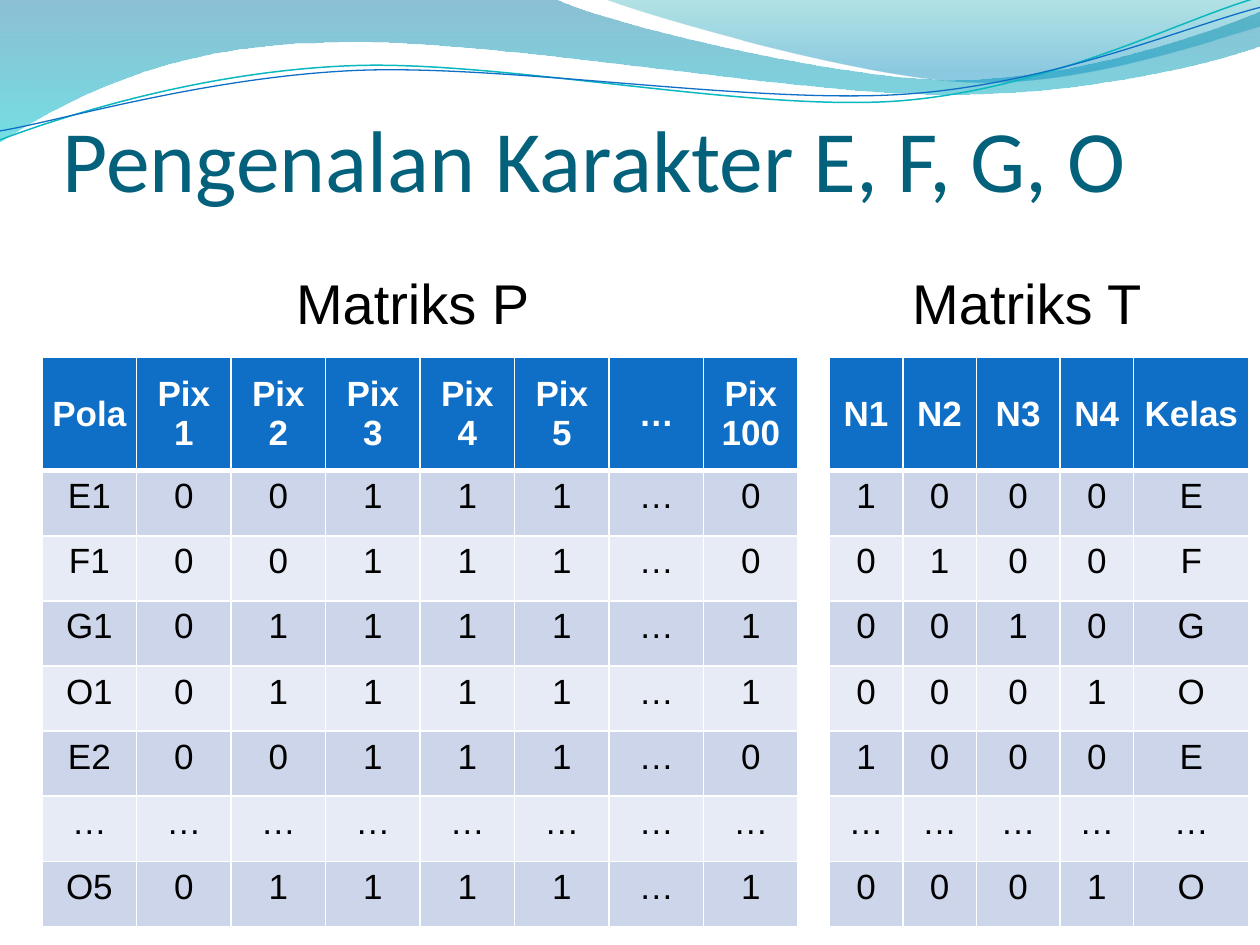
"""Build the slide on recognising the characters E, F, G, O with matrices P and T."""
from lxml import etree
from pptx import Presentation
from pptx import util as u
from pptx.dml.color import RGBColor
from pptx.enum import text
from pptx.oxml import ns

COLORS = {
    "title": "04617B", "header": "0F6FC6", "odd": "CCD5EA", "even": "E7EBF5",
    "white": "FFFFFF", "black": "000000", "teal": "0AB8BF", "blue": "0F6FC6",
    "deep": "0074A1", "aqua": "00C6CF", "green": "00A1A9", "sky": "008BBF",
}


def format_text(frame, size, font, color, align, bold=False):
    """Give every paragraph of a frame the same look."""
    for paragraph in frame.paragraphs:
        paragraph.alignment = align
        for run in paragraph.runs:
            run.font.size = u.Pt(size)
            run.font.name = font
            run.font.bold = bold
            run.font.color.rgb = RGBColor.from_string(COLORS[color])


def add_matrix(slide, left, widths, header, body):
    """Add a table with a coloured header row and striped body rows."""
    rows = [header, *(line.split() for line in body)]
    heights = [2.29] + [9.19 / len(body)] * len(body)
    matrix = slide.shapes.add_table(len(rows), len(header), u.Cm(left), u.Cm(7.2),
                                    u.Cm(sum(widths)), u.Cm(sum(heights))).table
    for column, width in zip(matrix.columns, widths):
        column.width = u.Cm(width)
    for r, (values, height) in enumerate(zip(rows, heights)):
        matrix.rows[r].height = u.Cm(height)
        fill = "header" if r == 0 else ("even", "odd")[r % 2]
        edges = {"lnL": 1, "lnR": 1, "lnT": 1, "lnB": 3 if r == 0 else 1}
        for c, value in enumerate(values):
            cell = matrix.cell(r, c)
            cell.text_frame.text = value
            cell.margin_left = cell.margin_right = 0
            cell.vertical_anchor = text.MSO_ANCHOR.MIDDLE if r == 0 else text.MSO_ANCHOR.TOP
            format_text(cell.text_frame, 20, "Arial", "white" if r == 0 else "black",
                        text.PP_ALIGN.CENTER, r == 0)
            properties = cell._tc.get_or_add_tcPr()
            for edge, points in edges.items():
                border = etree.SubElement(properties, ns.qn(f"a:{edge}"), w=str(u.Pt(points)))
                solid = etree.SubElement(border, ns.qn("a:solidFill"))
                etree.SubElement(solid, ns.qn("a:srgbClr"), val=COLORS["white"])
            cell.fill.solid()
            cell.fill.fore_color.rgb = RGBColor.from_string(COLORS[fill])


prs = Presentation()
prs.slide_width, prs.slide_height = u.Cm(25.4), u.Cm(19.05)
slide = prs.slides.add_slide(prs.slide_layouts[6])

waves = [
    ((0, -0.03), [
        [(11.18, -0.03)],
        [(12.09, 0.43), (16.87, 1.6), (19.25, 1.6)],
        [(21.67, 1.6), (24.33, 0.66), (25.4, 0.23)],
        [(25.43, 0.91)],
        [(24.97, 1.12), (22.1, 1.93), (18.95, 1.9)],
        [(15.8, 1.9), (9.7, 0.71), (6.53, 0.86)],
        [(3.28, 0.89), (1.17, 2.11), (-0.03, 2.87)],
        [(0, -0.03)],
    ], [("deep", 0, 45), ("aqua", 1, 55)], None),
    ((12.17, -0.03), [
        [(12.93, 0.28), (17.32, 1.57), (19.53, 1.65)],
        [(21.74, 1.75), (24.41, 0.81), (25.4, 0.53)],
        [(25.4, 0)],
        [(12.17, -0.03)],
    ], [("green", 0, 30), ("sky", 0.8, 45)], None),
    ((-0.05, 2.22), [
        [(1.19, 1.82), (4.02, 1.04), (7.05, 1.06)],
        [(10.05, 1.07), (15.02, 2.37), (18.08, 2.29)],
        [(21.13, 2.2), (23.86, 0.91), (25.41, 0.55)],
    ], None, ("teal", 0.85)),
    ((-0.04, 2.04), [
        [(1.16, 1.9), (4.17, 1.15), (7.2, 1.16)],
        [(10.25, 1.18), (15.13, 2.22), (18.19, 2.16)],
        [(21.21, 2.1), (23.93, 1.06), (25.45, 0.75)],
    ], None, ("blue", 0.75)),
]
for start, segments, stops, stroke in waves:
    builder = slide.shapes.build_freeform(u.Cm(start[0]), u.Cm(start[1]))
    builder.add_line_segments([(u.Cm(x), u.Cm(y)) for segment in segments for x, y in segment],
                              close=stops is not None)
    wave = builder.convert_to_shape()
    wave.shadow.inherit = False
    steps = wave.element.spPr.findall(".//" + ns.qn("a:lnTo"))
    for segment in segments:
        handles, steps = steps[:len(segment)], steps[len(segment):]
        if len(handles) == 3:
            curve = etree.Element(ns.qn("a:cubicBezTo"))
            handles[0].addprevious(curve)
            for handle in handles:
                curve.append(handle[0])
                handle.getparent().remove(handle)
    if stroke:
        wave.rotation = 357.3
        wave.fill.background()
        wave.line.color.rgb = RGBColor.from_string(COLORS[stroke[0]])
        wave.line.width = u.Pt(stroke[1])
        continue
    wave.line.fill.background()
    wave.fill.gradient()
    wave.fill.gradient_angle = 270
    for stop, (color, position, opacity) in zip(wave.fill.gradient_stops, stops):
        stop.color.rgb = RGBColor.from_string(COLORS[color])
        stop.position = position
    for tint, (_, _, opacity) in zip(wave.element.spPr.iter(ns.qn("a:srgbClr")), stops):
        etree.SubElement(tint, ns.qn("a:alpha"), val=str(opacity * 1000))

add_matrix(slide, 0.85, [15.24 / 8] * 8,
           ["Pola", *(f"Pix\n{n}" for n in range(1, 6)), "…", "Pix\n100"],
           ["E1 0 0 1 1 1 … 0", "F1 0 0 1 1 1 … 0", "G1 0 1 1 1 1 … 1",
            "O1 0 1 1 1 1 … 1", "E2 0 0 1 1 1 … 0", "… … … … … … … …",
            "O5 0 1 1 1 1 … 1"])

title = slide.shapes.add_textbox(u.Cm(1.27), u.Cm(1.06), u.Cm(23.06), u.Cm(3.17)).text_frame
title.word_wrap = True
title.vertical_anchor = text.MSO_ANCHOR.BOTTOM
title.margin_left = title.margin_right = title.margin_bottom = 0
title.text = "Pengenalan Karakter E, F, G, O"
format_text(title, 50, "Calibri", "title", text.PP_ALIGN.LEFT)

add_matrix(slide, 16.72, [1.48, 1.48, 1.69, 1.48, 2.33],
           ["N1", "N2", "N3", "N4", "Kelas"],
           ["1 0 0 0 E", "0 1 0 0 F", "0 0 1 0 G", "0 0 0 1 O",
            "1 0 0 0 E", "… … … … …", "0 0 0 1 O"])

for label, left, width in (("Matriks P ", 0.85, 15.24), ("Matriks T ", 16.72, 8.26)):
    caption = slide.shapes.add_textbox(u.Cm(left), u.Cm(5.29), u.Cm(width),
                                       u.Cm(1.62)).text_frame
    caption.word_wrap = True
    caption.auto_size = text.MSO_AUTO_SIZE.SHAPE_TO_FIT_TEXT
    caption.text = label
    format_text(caption, 32, "Arial", "black", text.PP_ALIGN.CENTER)

prs.save("out.pptx")
